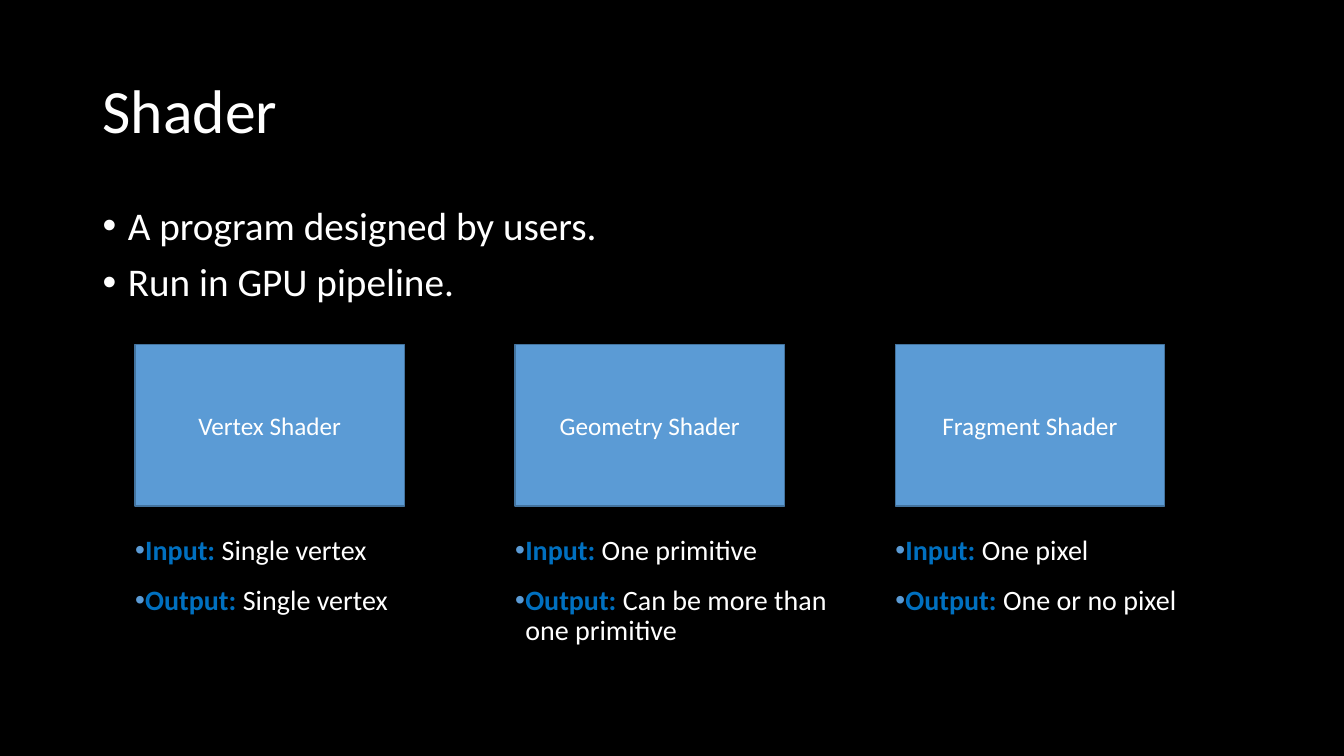
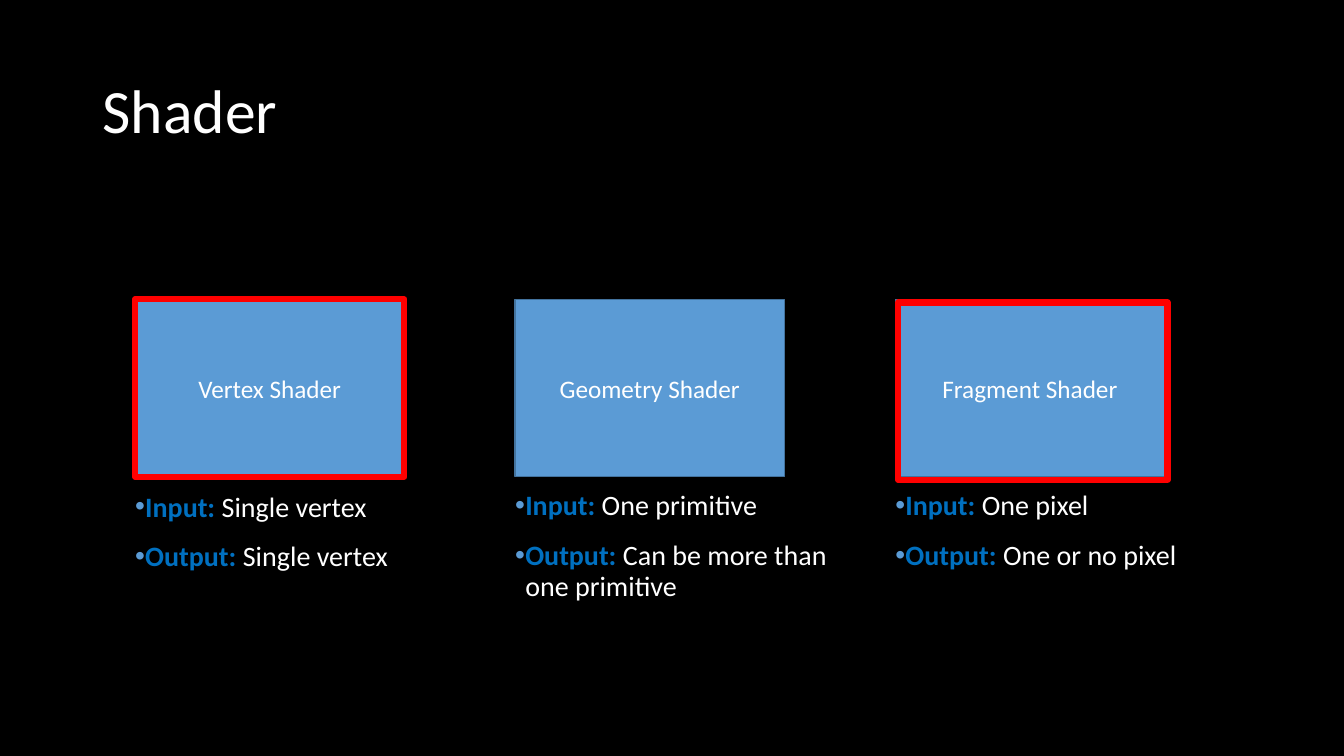
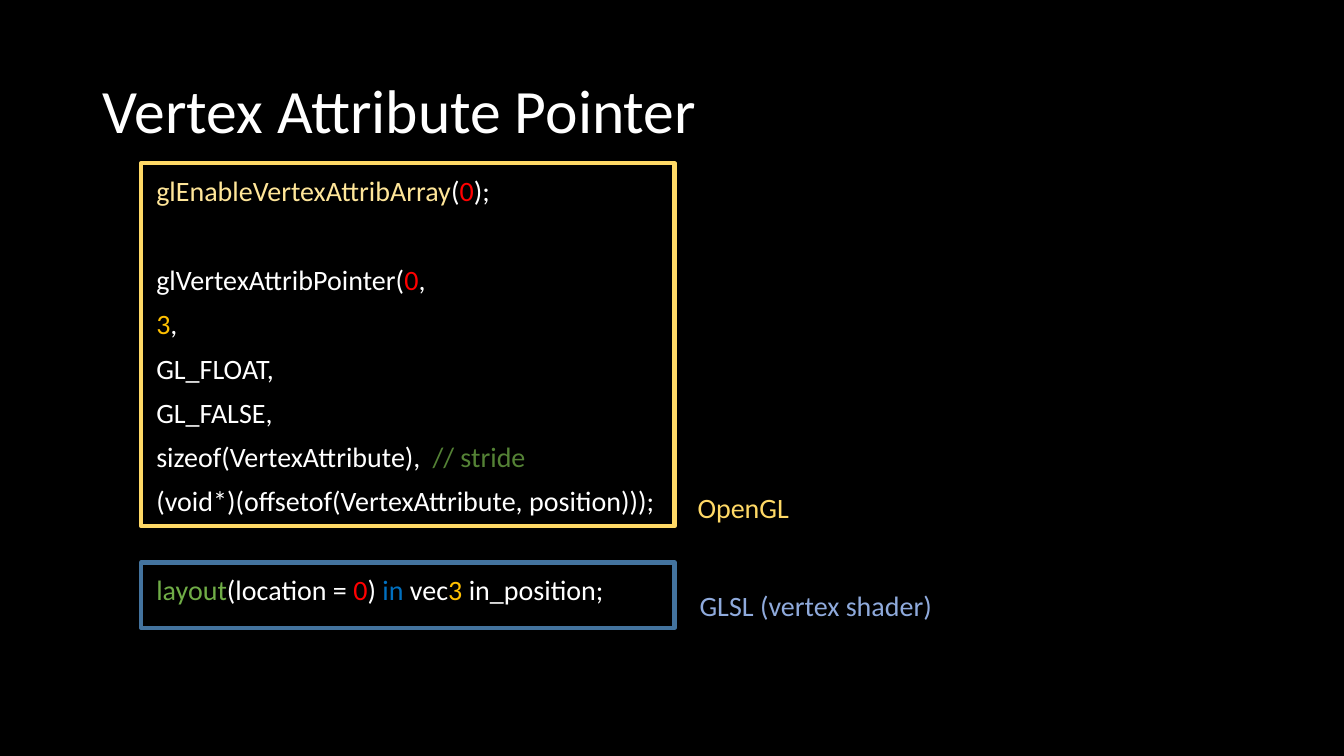
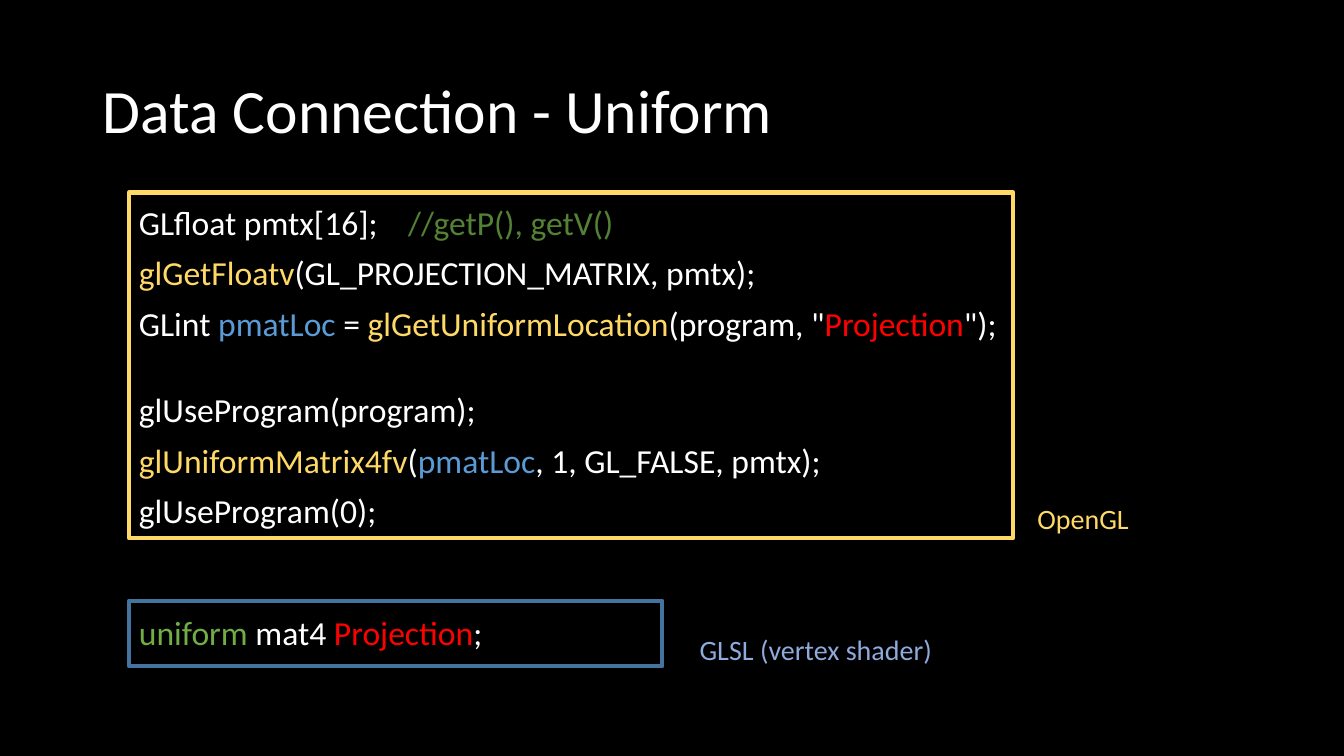
from lxml import etree
from pptx import Presentation
from pptx import util as u
from pptx.dml import color
from pptx.enum import shapes, text
from pptx.oxml import ns

FONT = "Calibri"
COLORS = {
    "black": "000000",
    "white": "FFFFFF",
    "box": "5B9BD5",
    "edge": "43739E",
    "blue": "0070C0",
    "red": "FF0000",
    "gold": "FFD966",
    "pale gold": "FFE699",
    "orange": "FFC000",
    "green": "70AD47",
    "comment": "548235",
    "lavender": "8FAADC",
}
INSETS = (0.1, 0.05, 0.1, 0.05)
STAGE_LEFT, STAGE_STEP, STAGE_WIDTH, NOTE_WIDTH = 1.34, 3.77, 2.67, 3.21
STAGES = [
    ("Vertex Shader", "Single vertex", "Single vertex"),
    ("Geometry Shader", "One primitive", "Can be more than one primitive"),
    ("Fragment Shader", "One pixel", "One or no pixel"),
]


def rgb(name):
    return color.RGBColor.from_string(COLORS[name])


def inches(box):
    return [u.Inches(length) for length in box]


def add_paragraph_part(para, tag, **attributes):
    part = etree.SubElement(para._p.get_or_add_pPr(), ns.qn(tag))
    for key, value in attributes.items():
        part.set(key, value)
    return part


def add_bullet(para, indent, tint=None):
    """Hang the paragraph by indent inches behind a bullet."""
    properties = para._p.get_or_add_pPr()
    properties.set("marL", str(u.Inches(indent)))
    properties.set("indent", str(-u.Inches(indent)))
    if tint:
        clr = add_paragraph_part(para, "a:buClr")
        etree.SubElement(clr, ns.qn("a:srgbClr")).set("val", COLORS[tint])
    add_paragraph_part(para, "a:buFont", typeface="Arial")
    add_paragraph_part(para, "a:buChar", char="•")


def add_tab_stop(para, position):
    stops = add_paragraph_part(para, "a:tabLst")
    stop = etree.SubElement(stops, ns.qn("a:tab"))
    stop.set("pos", str(u.Inches(position)))
    stop.set("algn", "l")


def add_span(para, words, size, tint="white", bold=False):
    span = para.add_run()
    span.text = words
    span.font.name = FONT
    span.font.size = u.Pt(size)
    span.font.bold = bold
    span.font.color.rgb = rgb(tint)


def set_frame(frame, insets=INSETS, anchor=text.MSO_ANCHOR.TOP):
    frame.word_wrap = True
    frame.vertical_anchor = anchor
    (frame.margin_left, frame.margin_top,
     frame.margin_right, frame.margin_bottom) = inches(insets)
    return frame


def add_text_box(page, box, **settings):
    return set_frame(page.shapes.add_textbox(*inches(box)).text_frame, **settings)


def new_paragraph(frame, first, before=10):
    para = frame.paragraphs[0] if first else frame.add_paragraph()
    para.alignment = text.PP_ALIGN.LEFT
    para.line_spacing = 0.9
    para.space_before = u.Pt(0 if first else before)
    return para


def add_line(page, box, words, size, tint="white", **settings):
    para = new_paragraph(add_text_box(page, box, **settings), True)
    add_span(para, words, size, tint)


def add_rectangle(page, box, edge, weight, fill=None):
    shape = page.shapes.add_shape(shapes.MSO_SHAPE.RECTANGLE, *inches(box))
    shape.shadow.inherit = False
    if fill:
        shape.fill.solid()
        shape.fill.fore_color.rgb = rgb(fill)
    else:
        shape.fill.background()
    shape.line.color.rgb = rgb(edge)
    shape.line.width = u.Pt(weight)
    return shape


def add_page(deck, title):
    page = deck.slides.add_slide(deck.slide_layouts[6])
    add_line(page, (0.92, 0.4, 11.5, 1.45), title, 44, anchor=text.MSO_ANCHOR.MIDDLE)
    return page


def add_points(page, box, points):
    frame = add_text_box(page, box)
    for index, point in enumerate(points):
        para = new_paragraph(frame, index == 0)
        add_bullet(para, 0.25)
        add_span(para, point, 28)


def add_stage(page, box, name):
    shape = add_rectangle(page, box, "edge", 1, "box")
    frame = set_frame(shape.text_frame, anchor=text.MSO_ANCHOR.MIDDLE)
    para = frame.paragraphs[0]
    para.alignment = text.PP_ALIGN.CENTER
    add_span(para, name, 18)


def add_stage_notes(page, box, taken, given):
    frame = add_text_box(page, box, insets=(0, 0.05, 0, 0.05))
    for index, (label, value) in enumerate([("Input:", taken), ("Output:", given)]):
        para = new_paragraph(frame, index == 0, before=12)
        para.space_after = u.Pt(2)
        add_bullet(para, 0.1, "box")
        add_span(para, label, 20, "blue", bold=True)
        add_span(para, f" {value}", 20)


def add_pipeline(page, top, height, note_tops):
    for index, (name, taken, given) in enumerate(STAGES):
        left = STAGE_LEFT + index * STAGE_STEP
        add_stage(page, (left, top, STAGE_WIDTH, height), name)
        add_stage_notes(page, (left, note_tops[index], NOTE_WIDTH, 1.27), taken, given)


def add_code(page, box, lines, size, edge, insets, tab=None, gap_lines=(), gap=0):
    """Frame coloured code; lines numbered in gap_lines start after the wider gap."""
    frame = set_frame(add_rectangle(page, box, edge, 3).text_frame, insets=insets)
    for index, spans in enumerate(lines):
        para = new_paragraph(frame, index == 0, gap if index in gap_lines else 10)
        if any("\t" in words for words, *_ in spans):
            add_tab_stop(para, tab)
        for words, *tint in spans:
            add_span(para, words, size, *tint)


def add_language_labels(page, opengl_at, glsl_at):
    add_line(page, (*opengl_at, 1.74, 0.58), "OpenGL", 20, "gold")
    add_line(page, (*glsl_at, 2.71, 0.58), "GLSL (vertex shader)", 20, "lavender")


def build_shader_overview(deck):
    page = add_page(deck, "Shader")
    add_points(page, (0.92, 2, 11.5, 1.2),
               ["A program designed by users.", "Run in GPU pipeline."])
    add_pipeline(page, 3.42, 1.6, (5.27, 5.27, 5.27))


def build_shader_highlights(deck):
    page = add_page(deck, "Shader")
    add_pipeline(page, 2.97, 1.76, (4.84, 4.83, 4.83))
    for left, top in [(1.34, 2.97), (8.91, 3)]:
        add_rectangle(page, (left, top, STAGE_WIDTH, 1.76), "red", 4.5)


def build_attribute_pointer(deck):
    page = add_page(deck, "Vertex Attribute Pointer")
    insets = (0.15, 0.14, 0.1, 0.05)
    add_code(page, (1.4, 1.62, 5.29, 3.6), [
        [("glEnableVertexAttribArray", "pale gold"), ("(",), ("0", "red"), (");",)],
        [("glVertexAttribPointer(",), ("0", "red"), (",",)],
        [("3", "orange"), (",",)],
        [("GL_FLOAT,",)],
        [("GL_FALSE,",)],
        [("sizeof(VertexAttribute),\t",), ("// stride", "comment")],
        [("(void*)(offsetof(VertexAttribute, position)));",)],
    ], 20, "gold", insets, tab=2.74, gap_lines=(1,), gap=42)
    add_code(page, (1.4, 5.58, 5.29, 0.65), [
        [("layout", "green"), ("(location = ",), ("0", "red"), (") ",),
         ("in", "blue"), (" vec",), ("3 ", "orange"), ("in_position;",)],
    ], 20, "edge", insets)
    add_language_labels(page, (6.82, 4.85), (6.84, 5.83))


def build_uniform(deck):
    page = add_page(deck, "Data Connection - Uniform")
    insets = (0.1, 0.14, 0.1, 0.05)
    add_code(page, (1.28, 1.91, 8.77, 3.43), [
        [("GLfloat pmtx[16];\t",), ("//getP(), getV()", "comment")],
        [("glGetFloatv", "gold"), ("(GL_PROJECTION_MATRIX, pmtx);",)],
        [("GLint ",), ("pmatLoc", "box"), (" = ",), ("glGetUniformLocation", "gold"),
         ('(program, "',), ("Projection", "red"), ('");',)],
        [("glUseProgram(program);",)],
        [("glUniformMatrix4fv", "gold"), ("(",), ("pmatLoc", "box"),
         (", 1, GL_FALSE, pmtx);",)],
        [("glUseProgram(0);",)],
    ], 24, "gold", insets, tab=2.67, gap_lines=(3,), gap=36)
    add_code(page, (1.28, 5.96, 5.29, 0.65), [
        [("uniform", "green"), (" mat4 ",), ("Projection", "red"), (";",)],
    ], 24, "edge", (0.1, 0.16, 0.1, 0.05))
    add_language_labels(page, (10.19, 4.96), (6.84, 6.26))


def main():
    deck = Presentation()
    deck.slide_width, deck.slide_height = u.Inches(13.33), u.Inches(7.5)
    backdrop = deck.slide_master.background.fill
    backdrop.solid()
    backdrop.fore_color.rgb = rgb("black")
    for build in (build_shader_overview, build_shader_highlights,
                  build_attribute_pointer, build_uniform):
        build(deck)
    deck.save("out.pptx")


if __name__ == "__main__":
    main()
